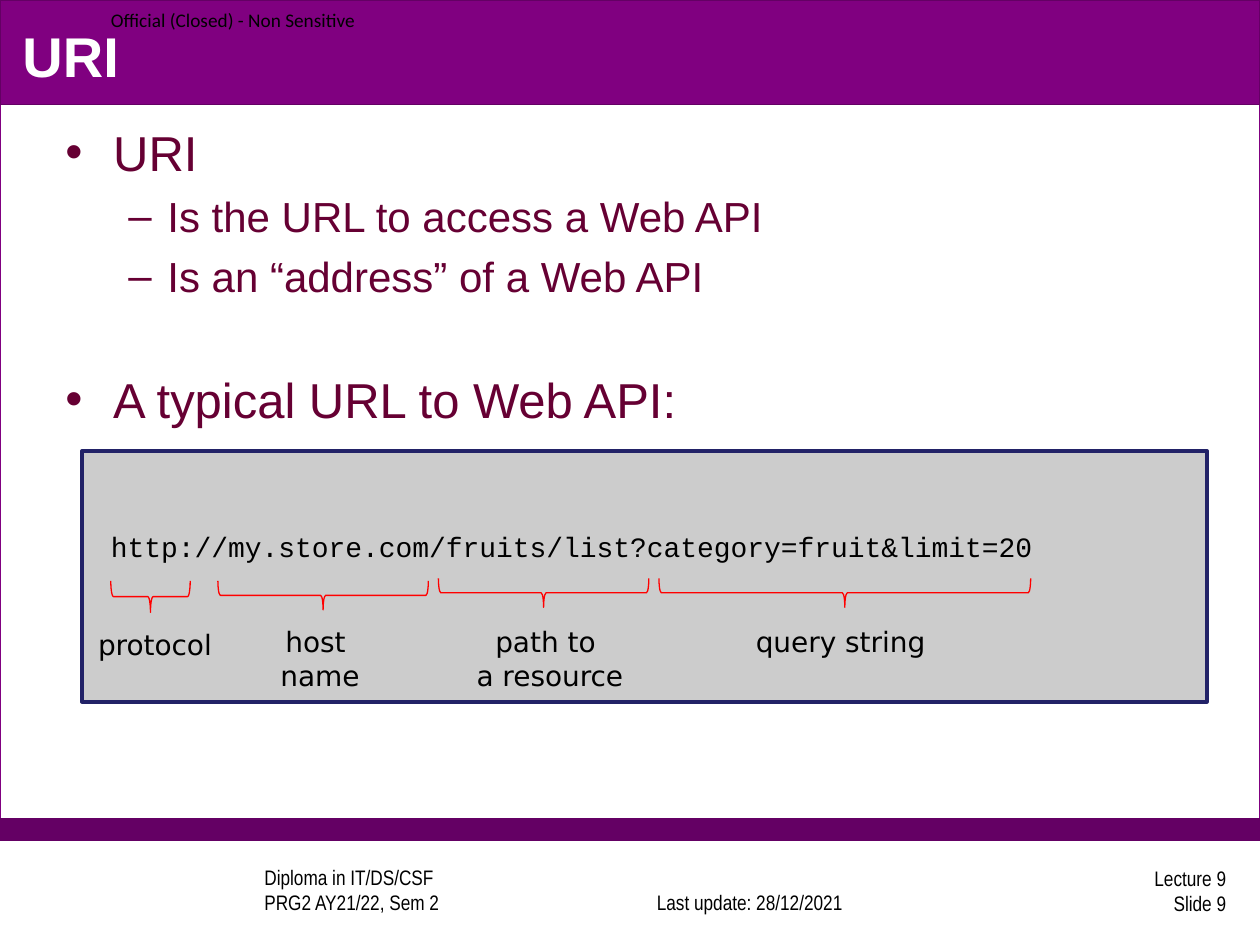
"""Build the slide that explains the parts of a URI."""
import pptx
import pptx.util
import pptx.dml.color
import pptx.enum.shapes
import pptx.enum.text
import pptx.oxml.ns
from lxml import etree

Inches, Pt = pptx.util.Inches, pptx.util.Pt
RGBColor = pptx.dml.color.RGBColor
SHAPE = pptx.enum.shapes.MSO_SHAPE
ALIGN = pptx.enum.text.PP_ALIGN
ANCHOR = pptx.enum.text.MSO_ANCHOR
qn = pptx.oxml.ns.qn

WHITE = RGBColor(0xFF, 0xFF, 0xFF)
BLACK = RGBColor(0, 0, 0)
PURPLE = RGBColor(0x80, 0, 0x80)
DARK_PURPLE = RGBColor(0x64, 0, 0x64)
MAROON = RGBColor(0x66, 0, 0x33)
GREY = RGBColor(0xCC, 0xCC, 0xCC)
NAVY = RGBColor(0x22, 0x22, 0x67)
RED = RGBColor(0xFF, 0, 0)

BANDS = [
    ((0, 0, 10, 6.67), WHITE, PURPLE),
    ((0, 6.5, 10, 0.17), DARK_PURPLE, DARK_PURPLE),
    ((0, 0, 10, 0.83), PURPLE, DARK_PURPLE),
]
FOOTERS = [
    ((2, 6.89, 2.67, 0.42), ["Diploma in IT/DS/CSF", "PRG2 AY21/22, Sem 2"], ALIGN.LEFT, ANCHOR.BOTTOM),
    ((4.91, 6.89, 2.08, 0.42), ["Last update: 28/12/2021"], ALIGN.CENTER, ANCHOR.BOTTOM),
    ((7.75, 6.86, 2.08, 0.42), ["Lecture 9", "Slide 9"], ALIGN.RIGHT, ANCHOR.MIDDLE),
]
CLASSIFICATION = "Official (Closed) - Non Sensitive"
TITLE = "URI"
POINTS = [
    (0, "URI", 6),
    (1, "Is the URL to access a Web API", 5.5),
    (1, "Is an “address” of a Web API", 5.5),
    (0, "A typical URL to Web API:", 39),
]
LEVELS = [("•", 28, 0.38, -0.38), ("–", 24, 0.81, -0.31)]
URL = "http://my.store.com/fruits/list?category=fruit&limit=20"
URL_PARTS = [
    (["protocol"], (0.68, 4.93, 1.13, 0.37), ALIGN.LEFT, (0.88, 4.61, 0.63, 0.25)),
    (["host ", "name"], (1.76, 4.91, 1.56, 0.64), ALIGN.CENTER, (1.73, 4.61, 1.67, 0.23)),
    (["path to ", "a resource"], (3.23, 4.91, 2.27, 0.64), ALIGN.CENTER, (3.48, 4.59, 1.67, 0.23)),
    (["query string"], (5.9, 4.91, 1.58, 0.37), ALIGN.LEFT, (5.23, 4.59, 2.95, 0.23)),
]


def add_outline(slide, preset, box, fill, line, width=0.75):
    shape = slide.shapes.add_shape(preset, *map(Inches, box))
    shape.shadow.inherit = False
    if fill is None:
        shape.fill.background()
    else:
        shape.fill.solid()
        shape.fill.fore_color.rgb = fill
    shape.line.color.rgb = line
    shape.line.width = Pt(width)
    return shape


def write(paragraph, lines, font, size, color, align=ALIGN.LEFT, bold=False):
    paragraph.alignment = align
    for index, line in enumerate(lines):
        if index:
            paragraph.add_line_break()
        run = paragraph.add_run()
        run.text = line
        run.font.name = font
        run.font.size = Pt(size)
        run.font.bold = bold
        run.font.color.rgb = color


def add_frame(slide, box, anchor=ANCHOR.TOP):
    frame = slide.shapes.add_textbox(*map(Inches, box)).text_frame
    frame.word_wrap = True
    frame.vertical_anchor = anchor
    return frame


def set_bullet(paragraph, mark, margin, indent):
    properties = paragraph._p.get_or_add_pPr()
    properties.set("marL", str(Inches(margin)))
    properties.set("indent", str(Inches(indent)))
    etree.SubElement(properties, qn("a:buFont")).set("typeface", "Arial")
    etree.SubElement(properties, qn("a:buChar")).set("char", mark)


def add_brace(slide, left, top, span, depth):
    upright = (left + (span - depth) / 2, top + (depth - span) / 2, depth, span)
    brace = add_outline(slide, SHAPE.LEFT_BRACE, upright, None, RED)
    brace.rotation = 270


def add_points(slide):
    frame = add_frame(slide, (0.42, 0.92, 9.11, 5.83))
    for index, (level, text, gap) in enumerate(POINTS):
        paragraph = frame.add_paragraph() if index else frame.paragraphs[0]
        mark, size, margin, indent = LEVELS[level]
        paragraph.level = level
        paragraph.space_before = Pt(gap)
        set_bullet(paragraph, mark, margin, indent)
        write(paragraph, [text], "Arial", size, MAROON)


def add_url(slide):
    panel = add_outline(slide, SHAPE.RECTANGLE, (0.65, 3.58, 8.93, 1.99), GREY, NAVY, 2)
    frame = panel.text_frame
    frame.vertical_anchor = ANCHOR.TOP
    frame.margin_left, frame.margin_top = Inches(0.23), Inches(0.62)
    write(frame.paragraphs[0], [URL], "Courier New", 16, BLACK)
    for _, _, _, brace in URL_PARTS:
        add_brace(slide, *brace)
    for label, box, align, _ in URL_PARTS:
        write(add_frame(slide, box).paragraphs[0], label, "DejaVu Sans", 16, BLACK, align)


def main():
    deck = pptx.Presentation()
    deck.slide_width, deck.slide_height = Inches(10), Inches(7.5)
    slide = deck.slides.add_slide(deck.slide_layouts[6])
    for box, fill, line in BANDS:
        add_outline(slide, SHAPE.RECTANGLE, box, fill, line)
    for box, lines, align, anchor in FOOTERS:
        write(add_frame(slide, box, anchor).paragraphs[0], lines, "Arial Narrow", 12, BLACK, align)
    marking = add_frame(slide, (0, 0, 3.01, 0.31), ANCHOR.MIDDLE)
    marking.margin_left = Inches(0.88)
    marking.margin_right = marking.margin_top = marking.margin_bottom = 0
    write(marking.paragraphs[0], [CLASSIFICATION], "Calibri", 11, BLACK)
    heading = add_frame(slide, (0.08, 0.13, 9.83, 0.62), ANCHOR.MIDDLE)
    write(heading.paragraphs[0], [TITLE], "Arial", 32, WHITE, bold=True)
    add_points(slide)
    add_url(slide)
    deck.save("out.pptx")


if __name__ == "__main__":
    main()
